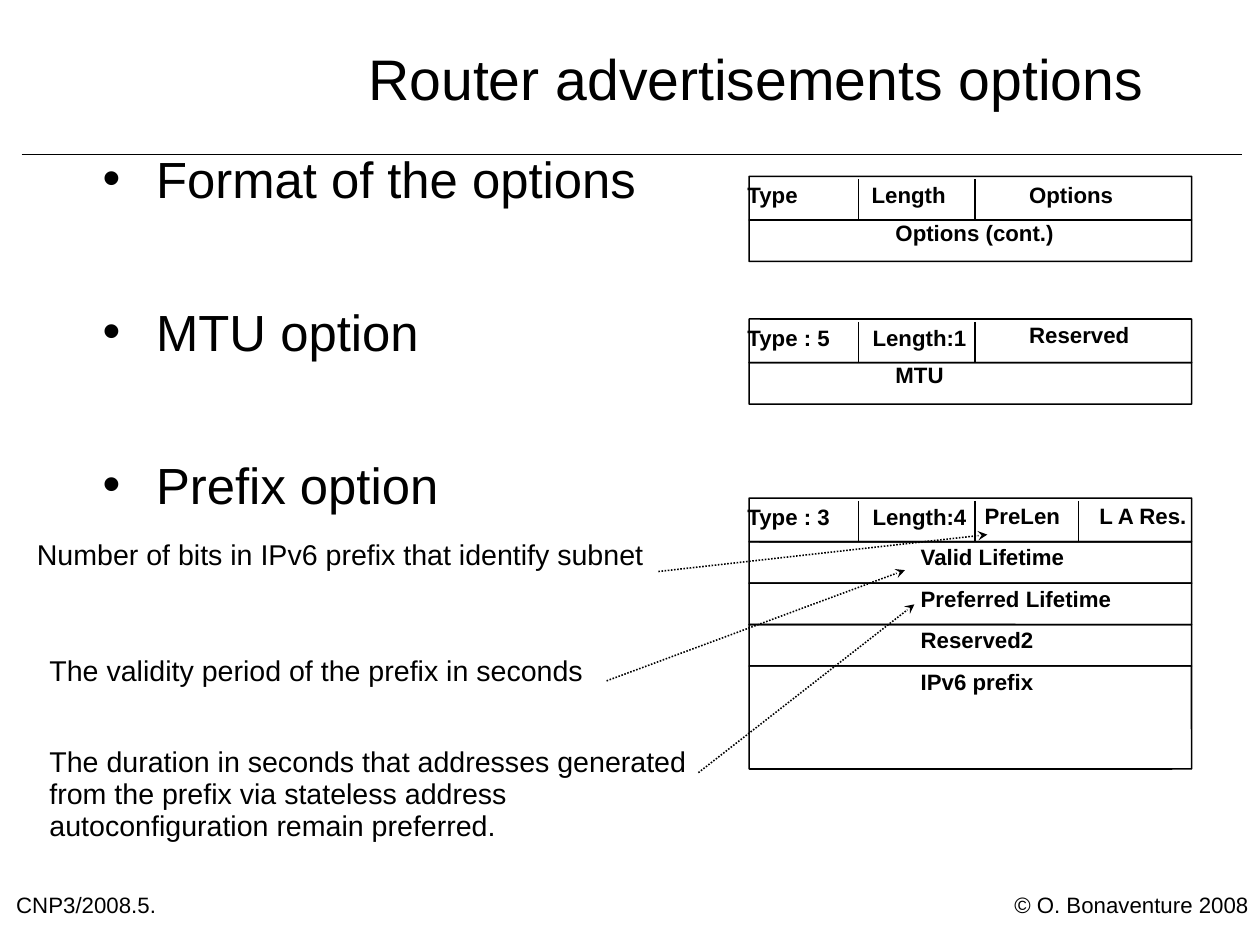
from dataclasses import dataclass

from lxml import etree
from pptx import Presentation
from pptx.dml.color import RGBColor
from pptx.enum import dml, shapes, text
from pptx.oxml import ns
from pptx.util import Cm, Pt

TITLE = "Router advertisements options"
BULLETS = ["Format of the options", "MTU option", "Prefix option"]
FOOTERS = [("CNP3/2008.5.", 0.36, 4.27), ("© O. Bonaventure 2008", 22.54, 5.4)]

# header cells: (label, left, offset from top); rows: (label, left, offset, height)
FORMATS = [
    {
        "top": 3.92,
        "header": [("Type", 16.61, 0.21), ("Length", 19.37, 0.21), ("Options", 22.87, 0.2)],
        "rows": [("Options (cont.)", 19.9, 0.07, 0.92)],
    },
    {
        "top": 7.09,
        "header": [("Type : 5", 16.61, 0.21), ("Length:1", 19.39, 0.21), ("Reserved", 22.87, 0.14)],
        "rows": [("MTU", 19.9, 0.07, 0.92)],
    },
    {
        "top": 11.07,
        "header": [
            ("Type : 3", 16.61, 0.22),
            ("Length:4", 19.39, 0.22),
            ("PreLen", 21.88, 0.18),
            ("L A Res.", 24.43, 0.18),
        ],
        "rows": [
            ("Valid Lifetime", 20.46, 0.14, 0.92),
            ("Preferred Lifetime", 20.46, 0.14, 0.92),
            ("Reserved2", 20.46, 0.14, 0.92),
            ("IPv6 prefix", 20.46, 0.14, 2.29),
        ],
    },
]

# (text, left, top, height, arrow start, arrow end)
NOTES = [
    ("Number of bits in IPv6 prefix that identify subnet",
     0.72, 11.99, 1.07, (14.63, 12.7), (21.94, 11.88)),
    ("The validity period of the prefix in seconds",
     1, 14.58, 1.07, (13.48, 15.13), (20.11, 12.67)),
    ("The duration in seconds that addresses generated from the prefix "
     "via stateless address autoconfiguration remain preferred.",
     1, 16.61, 2.51, (15.52, 17.17), (20.32, 13.43)),
]

TABLE_LEFT, TABLE_WIDTH, HEADER_HEIGHT = 16.65, 9.83, 0.97
TABLE_RIGHT = TABLE_LEFT + TABLE_WIDTH
DIVIDERS = [19.08, 21.67, 23.97]


@dataclass(frozen=True)
class Theme:
    ink: RGBColor = RGBColor(0, 0, 0)
    font: str = "Arial"
    title: int = 36
    bullet: int = 32
    note: int = 18
    label: int = 14
    line: int = 1
    tight: float = 0.84
    loose: float = 0.93


theme = Theme()


def style(paragraph, size, spacing=theme.tight, bold=False):
    paragraph.line_spacing = spacing
    paragraph.space_before = Pt(0)
    font = paragraph.font
    font.name, font.size, font.bold = theme.font, Pt(size), bold
    font.color.rgb = theme.ink


def clear_margins(frame):
    frame.margin_left = frame.margin_right = frame.margin_top = frame.margin_bottom = 0
    frame.word_wrap = True
    frame.auto_size = text.MSO_AUTO_SIZE.NONE


def place(shape, left, top, width, height):
    shape.left, shape.top, shape.width, shape.height = map(Cm, (left, top, width, height))


def add_label(slide, words, left, top, width, height=0.51, size=theme.label,
              spacing=theme.tight, bold=False):
    frame = slide.shapes.add_textbox(*map(Cm, (left, top, width, height))).text_frame
    clear_margins(frame)
    frame.text = words
    style(frame.paragraphs[0], size, spacing, bold)
    return frame


def add_line(slide, start, end, arrow=False):
    connector = slide.shapes.add_connector(
        shapes.MSO_CONNECTOR.STRAIGHT, *map(Cm, (*start, *end)))
    connector.line.color.rgb = theme.ink
    connector.line.width = Pt(theme.line)
    if arrow:
        connector.line.dash_style = dml.MSO_LINE.ROUND_DOT
        tail = etree.SubElement(connector.line._get_or_add_ln(), ns.qn("a:tailEnd"))
        tail.set("type", "stealth")
    etree.SubElement(connector._element.spPr, ns.qn("a:effectLst"))


def add_row(slide, top, height):
    shape = slide.shapes.add_shape(
        shapes.MSO_SHAPE.ROUNDED_RECTANGLE, *map(Cm, (TABLE_LEFT, top, TABLE_WIDTH, height)))
    shape.adjustments[0] = 0.005
    shape.shadow.inherit = False
    shape.fill.background()
    shape.line.color.rgb = theme.ink
    shape.line.width = Pt(theme.line)


def add_format(slide, top, header, rows):
    add_row(slide, top, HEADER_HEIGHT)
    dividers = DIVIDERS[:len(header) - 1]
    for x in dividers:
        add_line(slide, (x, top + 0.06), (x, top + HEADER_HEIGHT))
    for (words, left, offset), right in zip(header, dividers + [TABLE_RIGHT]):
        add_label(slide, words, left, top + offset, right - left, bold=True)
    top += HEADER_HEIGHT
    for words, left, offset, height in rows:
        add_row(slide, top, height)
        add_label(slide, words, left, top + offset, TABLE_RIGHT - left, bold=True)
        top += height


def fill_title(title):
    place(title, 7.37, 0, 18.85, 3.71)
    frame = title.text_frame
    clear_margins(frame)
    frame.vertical_anchor = text.MSO_ANCHOR.MIDDLE
    frame.text = TITLE
    frame.paragraphs[0].alignment = text.PP_ALIGN.CENTER
    style(frame.paragraphs[0], theme.title)


def fill_body(body):
    place(body, 2.04, 3.49, 23.93, 8.36)
    frame = body.text_frame
    clear_margins(frame)
    frame.vertical_anchor = text.MSO_ANCHOR.TOP
    frame.text = "\n".join(BULLETS)
    for index, paragraph in enumerate(frame.paragraphs):
        properties = paragraph._p.get_or_add_pPr()
        properties.set("marL", str(Cm(1.43)))
        properties.set("indent", str(Cm(-1.19)))
        etree.SubElement(properties, ns.qn("a:buChar")).set("char", "•")
        style(paragraph, theme.bullet)
        if index:
            paragraph.space_before = Pt(64.3)


def main():
    presentation = Presentation()
    presentation.slide_width, presentation.slide_height = Cm(28), Cm(21)
    slide = presentation.slides.add_slide(presentation.slide_layouts[1])
    add_line(slide, (0.48, 3.43), (27.61, 3.43))
    fill_title(slide.shapes.title)
    fill_body(slide.placeholders[1])
    for words, left, width in FOOTERS:
        add_label(slide, words, left, 19.91, width)
    for option in FORMATS:
        add_format(slide, **option)
    for words, left, top, height, start, end in NOTES:
        frame = add_label(slide, words, left, top, 15.14, height, theme.note, theme.loose)
        frame.margin_left = frame.margin_right = Cm(0.1)
        add_line(slide, start, end, arrow=True)
    presentation.save("out.pptx")


if __name__ == "__main__":
    main()
